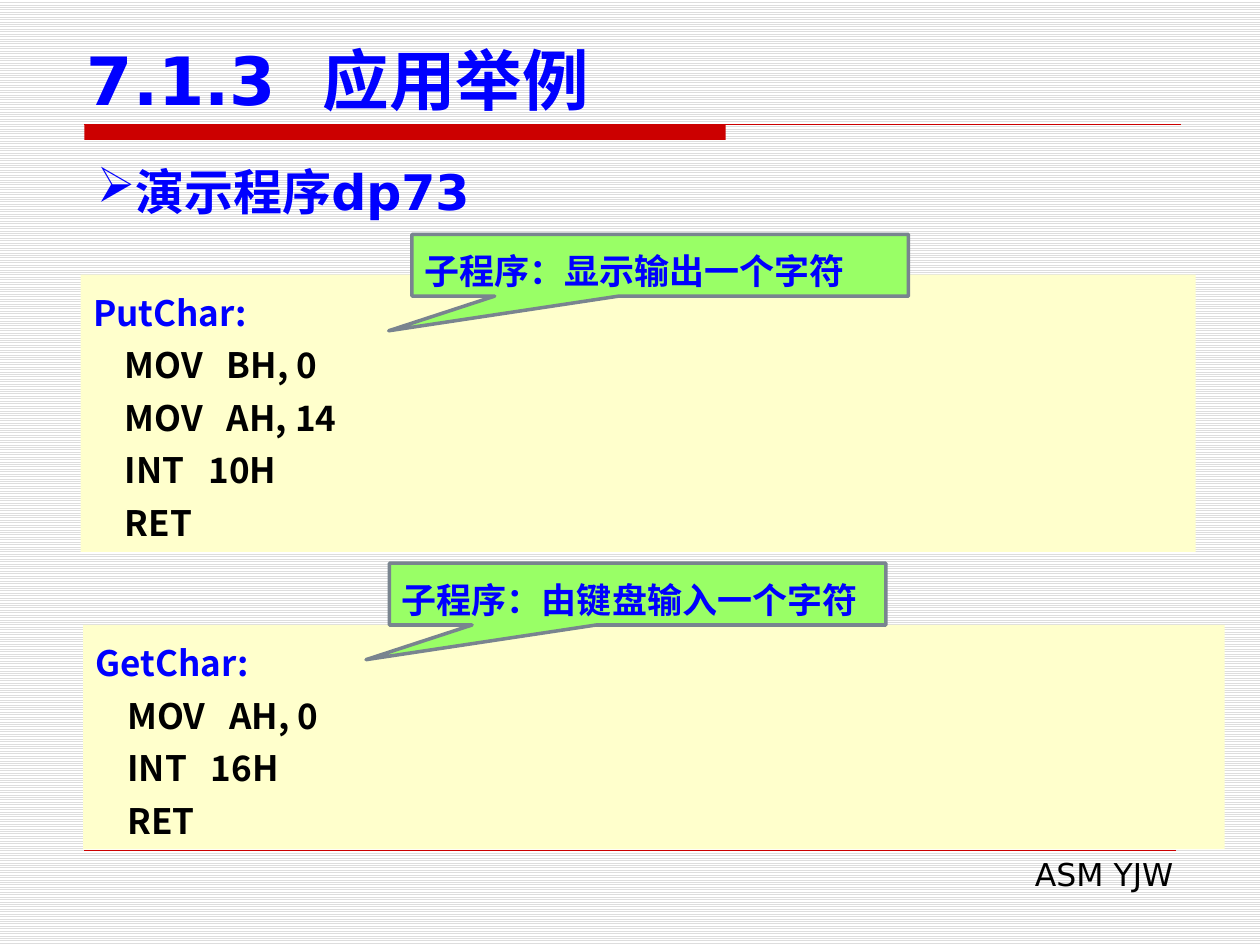
"""Build the slide on character input and output subroutines."""
from dataclasses import dataclass

from lxml.etree import SubElement
from pptx import Presentation
from pptx.dml.color import RGBColor
from pptx.enum.dml import MSO_PATTERN
from pptx.enum.shapes import MSO_CONNECTOR, MSO_SHAPE
from pptx.enum.text import MSO_ANCHOR, MSO_AUTO_SIZE, PP_ALIGN
from pptx.oxml.ns import qn
from pptx.slide import Slide
from pptx.text.text import TextFrame, _Paragraph
from pptx.util import Inches, Pt

BLUE = RGBColor(0x00, 0x00, 0xFF)
BLACK = RGBColor(0x00, 0x00, 0x00)
WHITE = RGBColor(0xFF, 0xFF, 0xFF)
STRIPE = RGBColor(0xDD, 0xDD, 0xDD)
RED = RGBColor(0xCC, 0x00, 0x00)
CREAM = RGBColor(0xFF, 0xFF, 0xCC)
GREEN = RGBColor(0x99, 0xFF, 0x66)
SLATE = RGBColor(0x79, 0x84, 0x8F)
LATIN_FONT = "DejaVu Sans"
CJK_FONT = "Noto Sans CJK SC"
LINE_SPACING = Pt(30)


@dataclass(frozen=True)
class Box:
    """Position and size in inches."""

    left: float
    top: float
    width: float
    height: float

    def emu(self) -> tuple[int, int, int, int]:
        """Return the box as lengths for python-pptx."""
        return (Inches(self.left), Inches(self.top),
                Inches(self.width), Inches(self.height))


@dataclass(frozen=True)
class Subroutine:
    """A code listing with the callout that explains it."""

    code_box: Box
    code: str
    callout_box: Box
    purpose: str


SUBROUTINES = (
    Subroutine(
        Box(0.64, 2.18, 8.85, 2.2),
        "PutChar:\n    MOV   BH, 0\n    MOV   AH, 14\n    INT   10H\n    RET",
        Box(3.27, 1.86, 3.94, 0.49), "子程序：显示输出一个字符"),
    Subroutine(
        Box(0.66, 4.96, 9.06, 1.78),
        "GetChar:\n    MOV   AH, 0\n    INT   16H\n    RET",
        Box(3.09, 4.47, 3.94, 0.49), "子程序：由键盘输入一个字符"),
)


def style(paragraph: _Paragraph, size: float, color: RGBColor,
          bold: bool = True, font_name: str = LATIN_FONT) -> None:
    """Format every run of a paragraph."""
    for run in paragraph.runs:
        run.font.size = Pt(size)
        run.font.bold = bold
        run.font.color.rgb = color
        run.font.name = font_name
        SubElement(run.font._element, qn("a:ea"), typeface=CJK_FONT)


def add_text(slide: Slide, box: Box, text: str) -> TextFrame:
    """Add a wrapping text box and return its text frame."""
    frame = slide.shapes.add_textbox(*box.emu()).text_frame
    frame.word_wrap = True
    frame.text = text
    return frame


def add_panel(slide: Slide, preset: MSO_SHAPE, box: Box, fill: RGBColor,
              text: str, anchor: MSO_ANCHOR, font_name: str):
    """Add a filled shape with a blue first line and black further lines."""
    panel = slide.shapes.add_shape(preset, *box.emu())
    panel.shadow.inherit = False
    panel.fill.solid()
    panel.fill.fore_color.rgb = fill
    panel.line.fill.background()
    frame = panel.text_frame
    frame.word_wrap = True
    frame.vertical_anchor = anchor
    frame.text = text
    for index, paragraph in enumerate(frame.paragraphs):
        paragraph.alignment = PP_ALIGN.LEFT
        paragraph.line_spacing = LINE_SPACING
        style(paragraph, 20, BLACK if index else BLUE, font_name=font_name)
    return panel


def add_callout(slide: Slide, box: Box, purpose: str) -> None:
    """Add a green callout pointing down to the left."""
    callout = add_panel(slide, MSO_SHAPE.RECTANGULAR_CALLOUT, box, GREEN,
                        purpose, MSO_ANCHOR.MIDDLE, LATIN_FONT)
    callout.adjustments[0] = -0.547
    callout.adjustments[1] = 1.062
    callout.line.color.rgb = SLATE
    callout.line.width = Pt(2)


def add_rule(slide: Slide, right: float, top: float, width: float) -> None:
    """Add a thin red rule from the left margin."""
    rule = slide.shapes.add_connector(
        MSO_CONNECTOR.STRAIGHT, Inches(0.67), Inches(top),
        Inches(right), Inches(top))
    rule.line.color.rgb = RED
    rule.line.width = Pt(width)
    SubElement(rule._element.spPr, qn("a:effectLst"))


def add_frame(slide: Slide) -> None:
    """Add the striped background, the red rules and the footer."""
    background = slide.background.fill
    background.patterned()
    background.pattern = MSO_PATTERN.LIGHT_HORIZONTAL
    background.fore_color.rgb = STRIPE
    background.back_color.rgb = WHITE
    bar = slide.shapes.add_shape(
        MSO_SHAPE.RECTANGLE, *Box(0.67, 0.99, 5.09, 0.12).emu())
    bar.shadow.inherit = False
    bar.fill.solid()
    bar.fill.fore_color.rgb = RED
    bar.line.fill.background()
    add_rule(slide, 9.37, 0.99, 0.75)
    add_rule(slide, 9.33, 6.75, 0.25)
    footer = add_text(slide, Box(3.82, 6.74, 5.59, 0.4), "ASM YJW").paragraphs[0]
    footer.alignment = PP_ALIGN.RIGHT
    style(footer, 18, BLACK, bold=False)


def add_headings(slide: Slide) -> None:
    """Fill the title and add the bulleted heading."""
    title = slide.shapes.title
    title.left, title.top, title.width, title.height = Box(
        0.59, 0.28, 9.06, 0.71).emu()
    title.text_frame.text = "7.1.3  应用举例"
    title.text_frame.auto_size = MSO_AUTO_SIZE.NONE
    title.text_frame.vertical_anchor = MSO_ANCHOR.BOTTOM
    title.text_frame.paragraphs[0].alignment = PP_ALIGN.LEFT
    style(title.text_frame.paragraphs[0], 38, BLUE)
    heading = add_text(slide, Box(0.67, 1.23, 8.66, 0.57),
                       "演示程序dp73").paragraphs[0]
    heading.alignment = PP_ALIGN.JUSTIFY
    SubElement(heading._p.get_or_add_pPr(), qn("a:buChar"), char="➢")
    style(heading, 28, BLUE)


def main() -> None:
    """Create and save the presentation."""
    presentation = Presentation()
    presentation.slide_width = Inches(10)
    presentation.slide_height = Inches(7.5)
    slide = presentation.slides.add_slide(presentation.slide_layouts[5])
    add_frame(slide)
    add_headings(slide)
    for routine in SUBROUTINES:
        add_panel(slide, MSO_SHAPE.RECTANGLE, routine.code_box, CREAM,
                  routine.code, MSO_ANCHOR.TOP, CJK_FONT)
    for routine in SUBROUTINES:
        add_callout(slide, routine.callout_box, routine.purpose)
    presentation.save("out.pptx")


if __name__ == "__main__":
    main()
